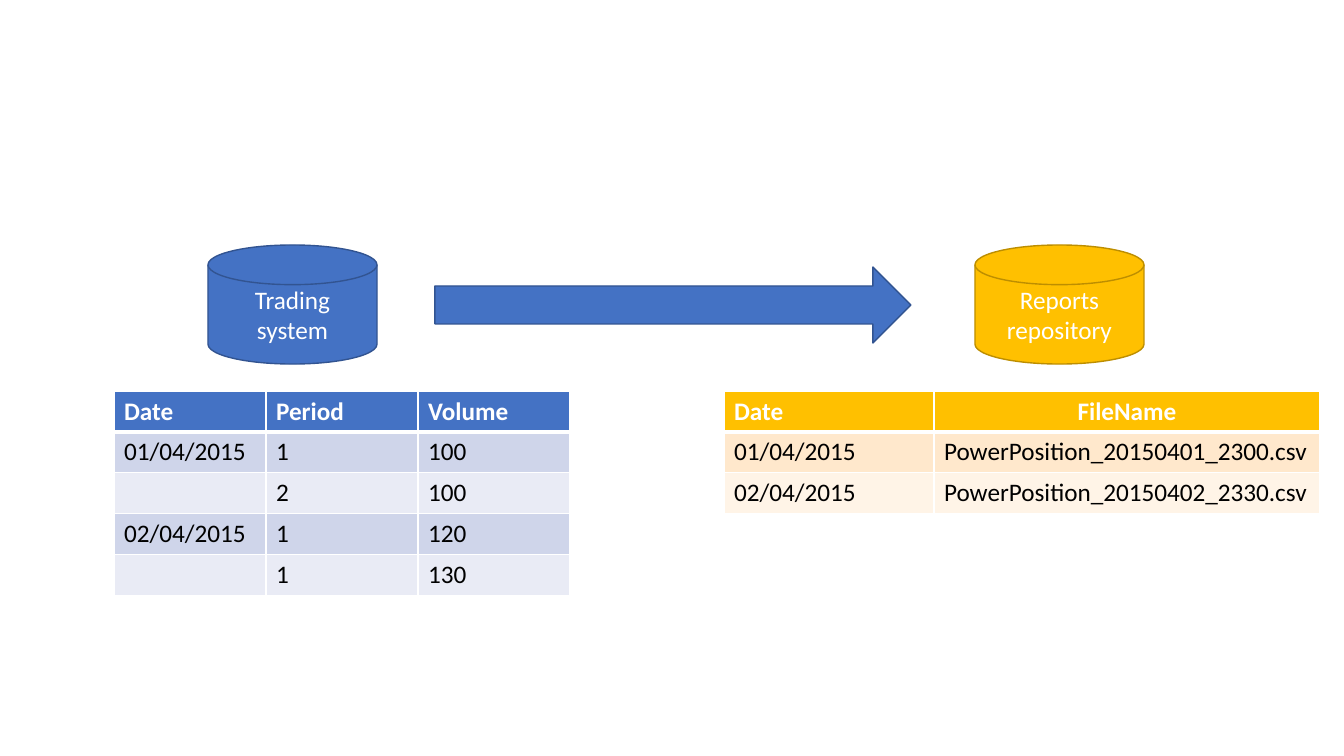
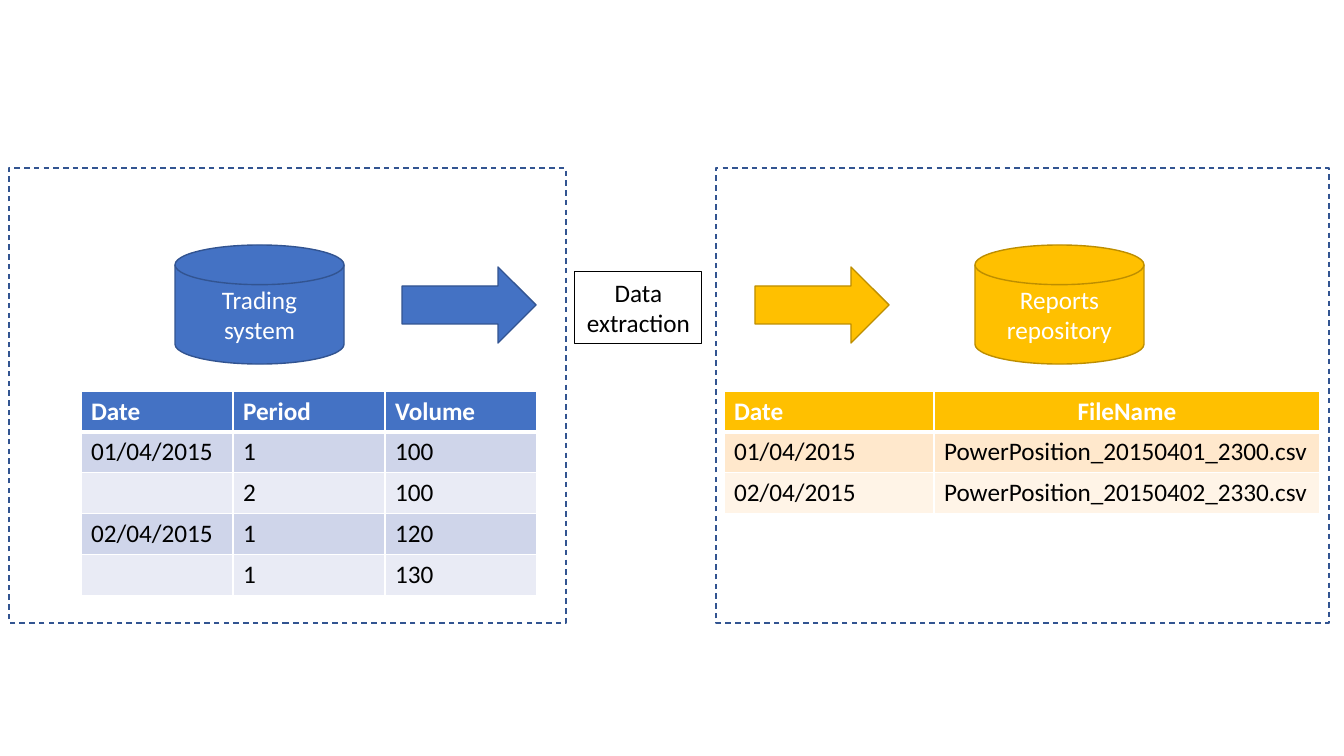
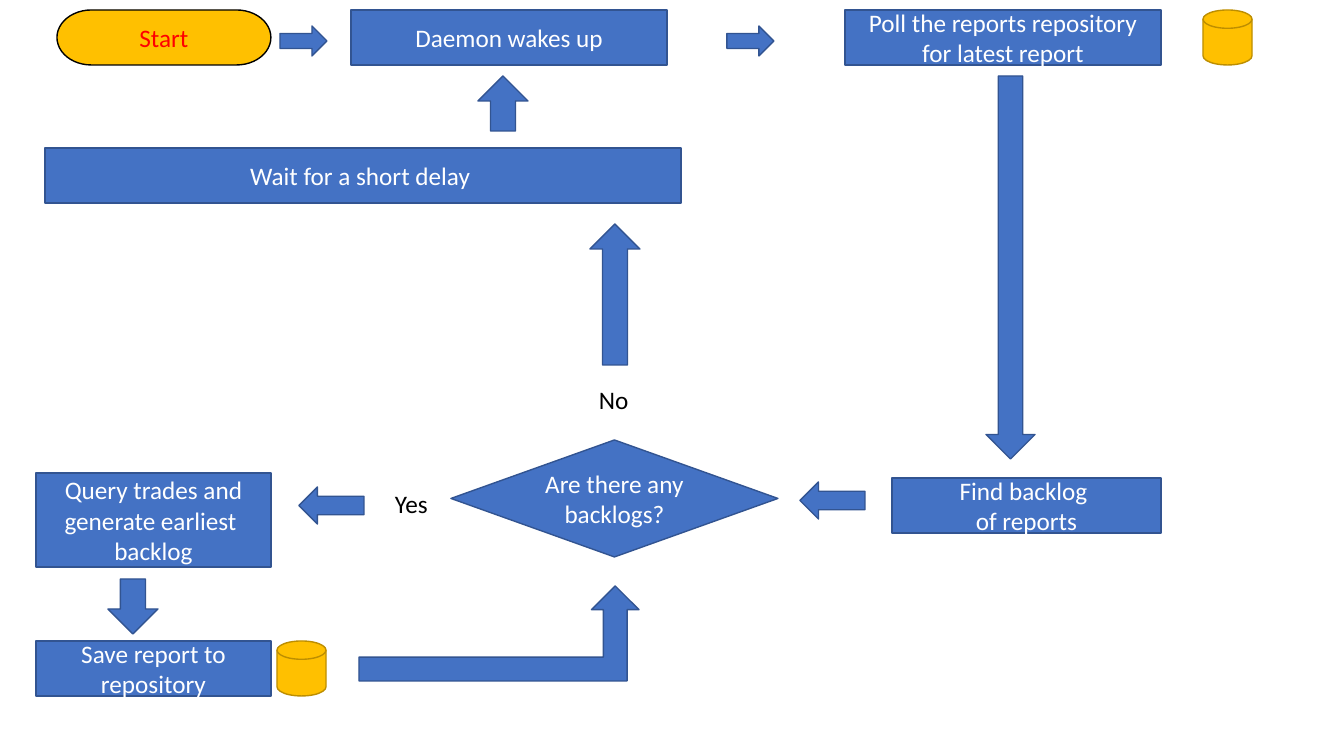
from dataclasses import dataclass

from lxml.etree import SubElement
from pptx import Presentation
from pptx.dml.color import RGBColor
from pptx.enum.dml import MSO_LINE
from pptx.enum.shapes import MSO_SHAPE as Preset
from pptx.enum.text import MSO_ANCHOR as Anchor, PP_ALIGN as Align
from pptx.oxml.ns import qn
from pptx.util import Emu, Pt

PX = 914400 / 100.8  # EMU in one layout pixel


@dataclass(frozen=True)
class Look:
    fill: str | None
    line: str | None
    text: str = "FFFFFF"
    weight: float = 1
    dash: bool = False
    anchor: Anchor = Anchor.MIDDLE
    align: Align = Align.CENTER


@dataclass(frozen=True)
class Theme:
    font: str = "Calibri"
    size: int = 18
    ink: str = "000000"
    white: str = "FFFFFF"
    grid_line: float = 1
    header_line: float = 3
    # header fill followed by the two alternating row fills
    trade_rows: tuple = ("4472C4", "CFD5EA", "E9EBF5")
    report_rows: tuple = ("FFC000", "FFE8CC", "FFF4E7")
    blue: Look = Look("4472C4", "325491")
    gold: Look = Look("FFC000", "BD8E00")
    start: Look = Look("FFC000", "000000", "FF0000")
    frame: Look = Look(None, "325491", dash=True)
    outlined: Look = Look(None, "000000", "000000", 0.75, anchor=Anchor.TOP)
    label: Look = Look(None, None, "000000", anchor=Anchor.TOP, align=Align.LEFT)


theme = Theme()


def add_figure(slide, preset, box, look, text=""):
    """Add a preset shape, or a text box when preset is None, with its text."""
    place = [Emu(round(value * PX)) for value in box]
    if preset is None:
        figure = slide.shapes.add_textbox(*place)
    else:
        figure = slide.shapes.add_shape(preset, *place)
        figure.shadow.inherit = False
    if look.fill:
        figure.fill.solid()
        figure.fill.fore_color.rgb = RGBColor.from_string(look.fill)
    else:
        figure.fill.background()
    if look.line:
        figure.line.color.rgb = RGBColor.from_string(look.line)
        figure.line.width = Pt(look.weight)
    if look.dash:
        figure.line.dash_style = MSO_LINE.DASH
    if not text:
        return
    frame = figure.text_frame
    frame.word_wrap = True
    frame.vertical_anchor = look.anchor
    for index, words in enumerate(text.split("\n")):
        paragraph = frame.add_paragraph() if index else frame.paragraphs[0]
        paragraph.alignment = look.align
        run = paragraph.add_run()
        run.text = words
        run.font.name, run.font.size = theme.font, Pt(theme.size)
        run.font.color.rgb = RGBColor.from_string(look.text)


def add_grid(slide, left, top, widths, row_height, rows, fills):
    """Add a table with a strong header row, banded rows and white rules."""
    box = (left, top, sum(widths), row_height * len(rows))
    table = slide.shapes.add_table(
        len(rows), len(widths), *(Emu(round(value * PX)) for value in box)).table
    for column, width in zip(table.columns, widths):
        column.width = Emu(round(width * PX))
    for r, values in enumerate(rows):
        table.rows[r].height = Emu(round(row_height * PX))
        shade = fills[0] if r == 0 else fills[1 + (r - 1) % 2]
        for c, value in enumerate(values):
            cell = table.cell(r, c)
            properties = cell._tc.get_or_add_tcPr()
            for side in ("lnL", "lnR", "lnT", "lnB"):
                strong = (r, side) in ((0, "lnB"), (1, "lnT"))
                weight = theme.header_line if strong else theme.grid_line
                rule = SubElement(properties, qn("a:" + side), w=str(Pt(weight)))
                paint = SubElement(rule, qn("a:solidFill"))
                SubElement(paint, qn("a:srgbClr"), val=theme.white)
            cell.fill.solid()
            cell.fill.fore_color.rgb = RGBColor.from_string(shade)
            paragraph = cell.text_frame.paragraphs[0]
            if value == "FileName":
                paragraph.alignment = Align.CENTER
            if value:
                run = paragraph.add_run()
                run.text = value
                run.font.name, run.font.size = theme.font, Pt(theme.size)
                run.font.bold = r == 0
                run.font.color.rgb = RGBColor.from_string(
                    theme.ink if r else theme.white)


deck = Presentation()
deck.slide_width, deck.slide_height = Emu(round(1344 * PX)), Emu(round(756 * PX))
blank = deck.slide_layouts[6]

# Slides 1 and 2: trades flow from the trading system to the reports repository
trades = [
    ("Date", "Period", "Volume"),
    ("01/04/2015", "1", "100"),
    ("", "2", "100"),
    ("02/04/2015", "1", "120"),
    ("", "1", "130"),
]
reports = [
    ("Date", "FileName"),
    ("01/04/2015", "PowerPosition_20150401_2300.csv"),
    ("02/04/2015", "PowerPosition_20150402_2330.csv"),
]
flows = []
for trades_left, arrow_width in ((114, 476), (81, 134)):
    flow = deck.slides.add_slide(blank)
    add_figure(flow, Preset.FLOWCHART_MAGNETIC_DISK,
               (trades_left + 94, 245, 169, 119), theme.blue, "Trading system")
    add_figure(flow, Preset.FLOWCHART_MAGNETIC_DISK,
               (975, 245, 169, 119), theme.gold, "Reports repository")
    add_grid(flow, trades_left, 391, (152, 152, 152), 37, trades, theme.trade_rows)
    add_grid(flow, 724, 391, (210, 386), 28, reports, theme.report_rows)
    add_figure(flow, Preset.RIGHT_ARROW,
               (trades_left + 321, 267, arrow_width, 76), theme.blue)
    flows.append(flow)

# Slide 2 adds the extraction step and the two system boundaries
extraction = flows[1]
add_figure(extraction, Preset.RIGHT_ARROW, (755, 267, 134, 76), theme.gold)
add_figure(extraction, Preset.RECTANGLE, (575, 272, 127, 72),
           theme.outlined, "Data extraction")
for left, width in ((9, 557), (716, 613)):
    add_figure(extraction, Preset.RECTANGLE, (left, 168, width, 455), theme.frame)

# Slide 3: the daemon's flowchart
daemon = deck.slides.add_slide(blank)
steps = [
    (Preset.FLOWCHART_TERMINATOR, (57, 10, 214, 55), theme.start, "Start"),
    (Preset.FLOWCHART_PROCESS, (351, 10, 316, 55), theme.blue, "Daemon wakes up"),
    (Preset.FLOWCHART_PROCESS, (845, 10, 316, 55), theme.blue,
     "Poll the reports repository for latest report"),
    (Preset.FLOWCHART_PROCESS, (892, 478, 269, 55), theme.blue,
     "Find backlog \nof reports"),
    (Preset.FLOWCHART_PROCESS, (36, 473, 235, 94), theme.blue,
     "Query trades and generate earliest \nbacklog"),
    (Preset.FLOWCHART_DECISION, (451, 440, 327, 117), theme.blue,
     "Are there any backlogs?"),
    (None, (589, 379, 50, 40), theme.label, "No"),
    (None, (385, 483, 67, 40), theme.label, "Yes"),
    (Preset.FLOWCHART_PROCESS, (45, 148, 636, 55), theme.blue,
     "Wait for a short delay "),
    (Preset.FLOWCHART_PROCESS, (36, 641, 235, 55), theme.blue,
     "Save report to repository"),
]
for preset, box, look, words in steps:
    add_figure(daemon, preset, box, look, words)

arrows = [
    (Preset.RIGHT_ARROW, (727, 26, 47, 30)),
    (Preset.RIGHT_ARROW, (280, 26, 47, 30)),
    (Preset.UP_ARROW, (590, 224, 50, 141)),
    (Preset.DOWN_ARROW, (986, 76, 49, 383)),
    (Preset.LEFT_ARROW, (299, 487, 65, 37)),
    (Preset.LEFT_ARROW, (800, 482, 65, 37)),
    (Preset.UP_ARROW, (478, 76, 50, 55)),
    (Preset.DOWN_ARROW, (108, 579, 50, 55)),
    (Preset.BENT_UP_ARROW, (359, 586, 280, 95)),
]
for preset, box in arrows:
    add_figure(daemon, preset, box, theme.blue)

for left, top in ((1203, 10), (277, 641)):
    add_figure(daemon, Preset.FLOWCHART_MAGNETIC_DISK, (left, top, 49, 55), theme.gold)

deck.save("out.pptx")
